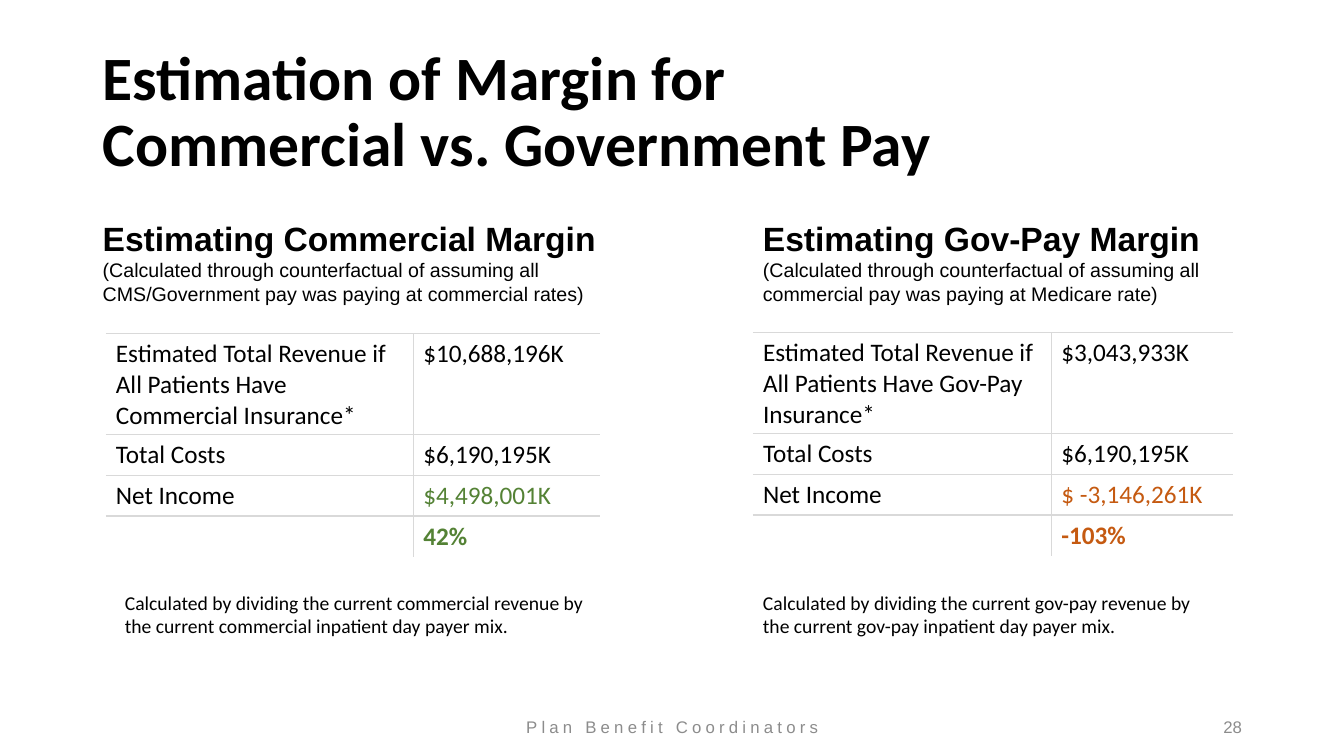
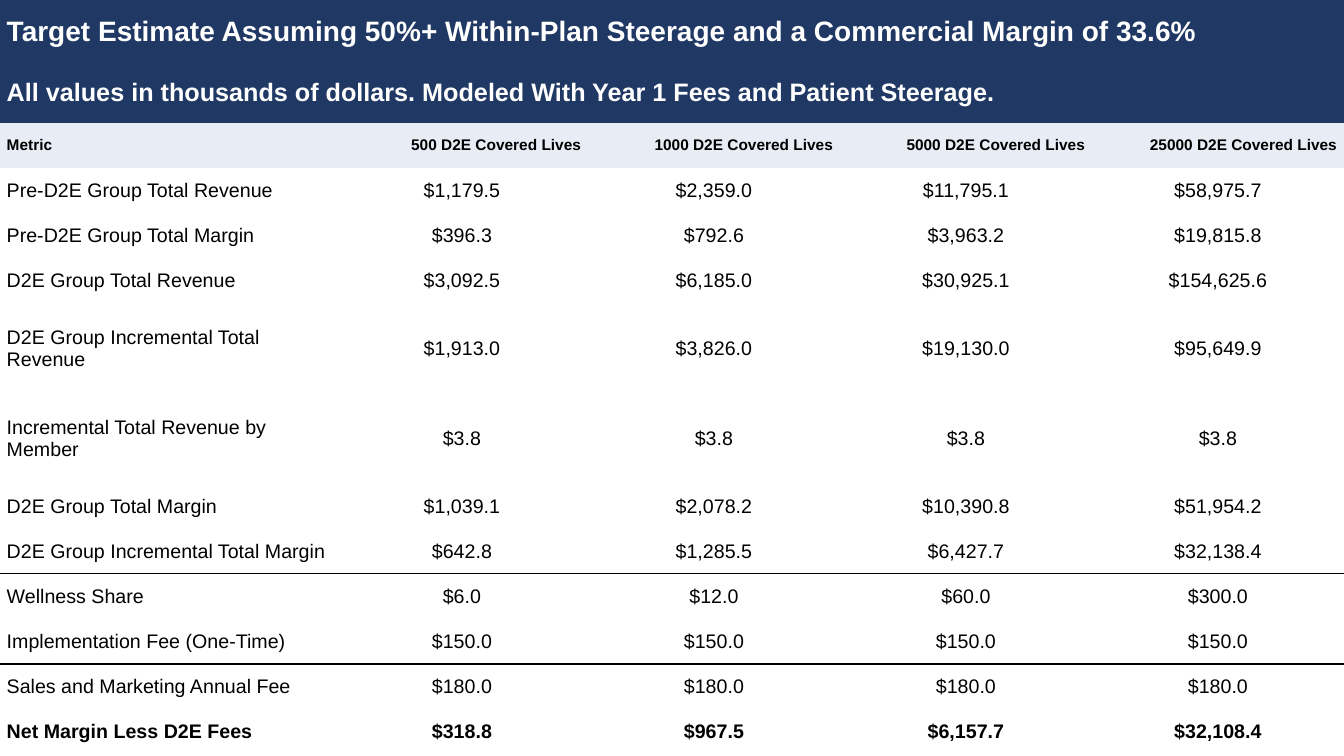
from lxml import etree
from pptx import Presentation
from pptx.dml.color import RGBColor as RGB
from pptx.enum.text import MSO_ANCHOR as ANCHOR, MSO_AUTO_SIZE as AUTO, PP_ALIGN as ALIGN
from pptx.oxml.ns import qn
from pptx.util import Inches, Pt

COLORS = {
    "ink": "000000",
    "paper": "FFFFFF",
    "navy": "203864",
    "mist": "E7ECF5",
    "rule": "D9D9D9",
    "muted": "8C8C8C",
    "gain": "548235",
    "loss": "C55A11",
}
HEAD, BODY = "Calibri", "Arial"
GRID_COLS, GRID_ROWS = 40, 30
PLAIN_TABLE = "{2D5ABB26-0587-4C30-8999-92F81FD0307C}"
TITLE_ONLY, BLANK = 5, 6


class Deck:
    def __init__(self):
        self.prs = Presentation()
        self.prs.slide_width, self.prs.slide_height = Inches(13.33), Inches(7.5)
        self.s = None

    def x(self, cols):
        return round(self.prs.slide_width * cols / GRID_COLS)

    def y(self, rows):
        return round(self.prs.slide_height * rows / GRID_ROWS)

    def box(self, left, top, width, height):
        return self.x(left), self.y(top), self.x(width), self.y(height)

    def slide(self, layout):
        self.s = self.prs.slides.add_slide(self.prs.slide_layouts[layout])

    def style(self, p, size, color="ink", bold=False, font=BODY, align=ALIGN.LEFT, spacing=None):
        p.alignment = align
        for r in p.runs:
            r.font.name, r.font.size, r.font.bold = font, Pt(size), bold
            r.font.color.rgb = RGB.from_string(COLORS[color])
            if spacing:
                r.font._element.set("spc", str(spacing * 100))

    def title(self, text, at):
        sp = self.s.shapes.title
        sp.left, sp.top, sp.width, sp.height = self.box(*at)
        tf = sp.text_frame
        tf.text = text
        tf.auto_size, tf.vertical_anchor = AUTO.NONE, ANCHOR.MIDDLE
        p = tf.paragraphs[0]
        p.line_spacing = 0.9
        self.style(p, 44, bold=True, font=HEAD)

    def text(self, at, *lines, anchor=ANCHOR.TOP):
        tf = self.s.shapes.add_textbox(*self.box(*at)).text_frame
        tf.word_wrap, tf.vertical_anchor = True, anchor
        tf.text = "\n".join(text for text, _ in lines)
        for p, (_, look) in zip(tf.paragraphs, lines):
            self.style(p, **look)

    def footer(self, name, number):
        look = {"size": 12, "color": "muted"}
        self.text((13.26, 28.32, 13.5, 1.08),
                  (name, {**look, "align": ALIGN.CENTER, "spacing": 3}), anchor=ANCHOR.MIDDLE)
        self.text((28.26, 28.32, 9, 1.08),
                  (number, {**look, "align": ALIGN.RIGHT}), anchor=ANCHOR.MIDDLE)

    def table(self, left, top, cols, rows):
        at = self.box(left, top, sum(cols), sum(rows))
        tbl = self.s.shapes.add_table(len(rows), len(cols), *at).table
        tbl.first_row = tbl.horz_banding = False
        tbl._tbl.tblPr.find(qn("a:tableStyleId")).text = PLAIN_TABLE
        for column, width in zip(tbl.columns, cols):
            column.width = self.x(width)
        for row, height in zip(tbl.rows, rows):
            row.height = self.y(height)
        return tbl

    def cell(self, cell, text, look, fill=None, edges="", edge_color="rule"):
        cell.text = text
        self.style(cell.text_frame.paragraphs[0], **look)
        if fill:
            cell.fill.solid()
            cell.fill.fore_color.rgb = RGB.from_string(COLORS[fill])
        else:
            cell.fill.background()
        tc_pr = cell._tc.get_or_add_tcPr()
        for i, side in enumerate(e for e in "LRTB" if e in edges):
            ln = etree.Element(qn(f"a:ln{side}"), w=str(Pt(1)))
            solid = etree.SubElement(ln, qn("a:solidFill"))
            etree.SubElement(solid, qn("a:srgbClr"), val=COLORS[edge_color])
            tc_pr.insert(i, ln)

    def margin_table(self, left, top, cols, rows, data, accent):
        tbl = self.table(left, top, cols, rows)
        last = len(data) - 1
        for i, line in enumerate(data):
            for j, text in enumerate(line):
                look = {"size": 18, "font": HEAD, "bold": i == last,
                        "color": accent if j and i >= last - 1 else "ink"}
                edges = "T" + "RL"[j] + ("B" if i < last else "")
                self.cell(tbl.cell(i, j), text, look, edges=edges)

    def fee_table(self, cols, rows, banners, header, data, ruled):
        tbl = self.table(0, 0, cols, rows)
        for i, (text, size) in enumerate(banners):
            tbl.cell(i, 0).merge(tbl.cell(i, len(cols) - 1))
            self.cell(tbl.cell(i, 0), text, {"size": size, "color": "paper", "bold": True}, "navy")
        for i, line in enumerate([header, *data], len(banners)):
            is_header = line is header
            look = {"size": 11 if is_header else 14, "bold": is_header or line is data[-1]}
            value_align = ALIGN.RIGHT if is_header else ALIGN.CENTER
            edges = "B" if line[0] in ruled else ""
            for j, text in enumerate(line):
                self.cell(tbl.cell(i, j), text, {**look, "align": value_align if j else ALIGN.LEFT},
                          "mist" if is_header else None, edges, "ink")
        for c in tbl.iter_cells():
            c.margin_left = c.margin_right = self.x(0.2)
            c.margin_top = c.margin_bottom = 0
            c.vertical_anchor = ANCHOR.MIDDLE


def margin_slide(d):
    d.slide(TITLE_ONLY)
    d.title("Estimation of Margin for\vCommercial vs. Government Pay", (2.76, 1.6, 34.5, 5.8))
    panels = [
        {
            "heading": "Estimating Commercial Margin",
            "basis": "(Calculated through counterfactual of assuming all "
                     "CMS/Government pay was paying at commercial rates)",
            "text_at": (2.76, 15.57), "note_at": (3.42, 14.43),
            "table": (3.15, 13.24, (9.15, 5.55)), "accent": "gain",
            "data": [
                ("Estimated Total Revenue if All Patients Have Commercial Insurance*", "$10,688,196K"),
                ("Total Costs", "$6,190,195K"),
                ("Net Income", "$4,498,001K"),
                ("", "42%"),
            ],
            "note": "Calculated by dividing the current commercial revenue by "
                    "the current commercial inpatient day payer mix.",
        },
        {
            "heading": "Estimating Gov-Pay Margin",
            "basis": "(Calculated through counterfactual of assuming all "
                     "commercial pay was paying at Medicare rate)",
            "text_at": (22.41, 14.31), "note_at": (22.41, 13.5),
            "table": (22.41, 13.2, (8.88, 5.4)), "accent": "loss",
            "data": [
                ("Estimated Total Revenue if All Patients Have Gov-Pay Insurance*", "$3,043,933K"),
                ("Total Costs", "$6,190,195K"),
                ("Net Income", "$ -3,146,261K"),
                ("", "-103%"),
            ],
            "note": "Calculated by dividing the current gov-pay revenue by "
                    "the current gov-pay inpatient day payer mix.",
        },
    ]
    for panel in panels:
        left, width = panel["text_at"]
        d.text((left, 8.44, width, 3.92),
               (panel["heading"], {"size": 24, "bold": True}), (panel["basis"], {"size": 14}))
        left, top, cols = panel["table"]
        d.margin_table(left, top, cols, (4, 1.62, 1.62, 1.62), panel["data"], panel["accent"])
        left, width = panel["note_at"]
        d.text((left, 23.24, width, 2.28), (panel["note"], {"size": 14, "font": HEAD}))
    d.footer("Plan Benefit Coordinators", "28")


def fee_slide(d):
    d.slide(BLANK)
    banners = [
        ("Target Estimate Assuming 50%+ Within-Plan Steerage and a Commercial Margin of 33.6%", 20),
        ("All values in thousands of dollars. Modeled With Year 1 Fees and Patient Steerage.", 18),
    ]
    header = ("Metric", *(f"{n} D2E Covered Lives" for n in (500, 1000, 5000, 25000)))
    data = [
        ("Pre-D2E Group Total Revenue", "$1,179.5", "$2,359.0", "$11,795.1", "$58,975.7"),
        ("Pre-D2E Group Total Margin", "$396.3", "$792.6", "$3,963.2", "$19,815.8"),
        ("D2E Group Total Revenue", "$3,092.5", "$6,185.0", "$30,925.1", "$154,625.6"),
        ("D2E Group Incremental Total Revenue", "$1,913.0", "$3,826.0", "$19,130.0", "$95,649.9"),
        ("Incremental Total Revenue by Member", "$3.8", "$3.8", "$3.8", "$3.8"),
        ("D2E Group Total Margin", "$1,039.1", "$2,078.2", "$10,390.8", "$51,954.2"),
        ("D2E Group Incremental Total Margin", "$642.8", "$1,285.5", "$6,427.7", "$32,138.4"),
        ("Wellness Share", "$6.0", "$12.0", "$60.0", "$300.0"),
        ("Implementation Fee (One-Time)", "$150.0", "$150.0", "$150.0", "$150.0"),
        ("Sales and Marketing Annual Fee", "$180.0", "$180.0", "$180.0", "$180.0"),
        ("Net Margin Less D2E Fees", "$318.8", "$967.5", "$6,157.7", "$32,108.4"),
    ]
    rows = [2.52, 2.36] + [1.79] * 4 + [3.58] * 2 + [1.79] * 6
    ruled = ("D2E Group Incremental Total Margin", "Implementation Fee (One-Time)")
    d.fee_table([10] + [7.5] * 4, rows, banners, header, data, ruled)


def main():
    d = Deck()
    margin_slide(d)
    fee_slide(d)
    d.prs.save("out.pptx")


if __name__ == "__main__":
    main()
